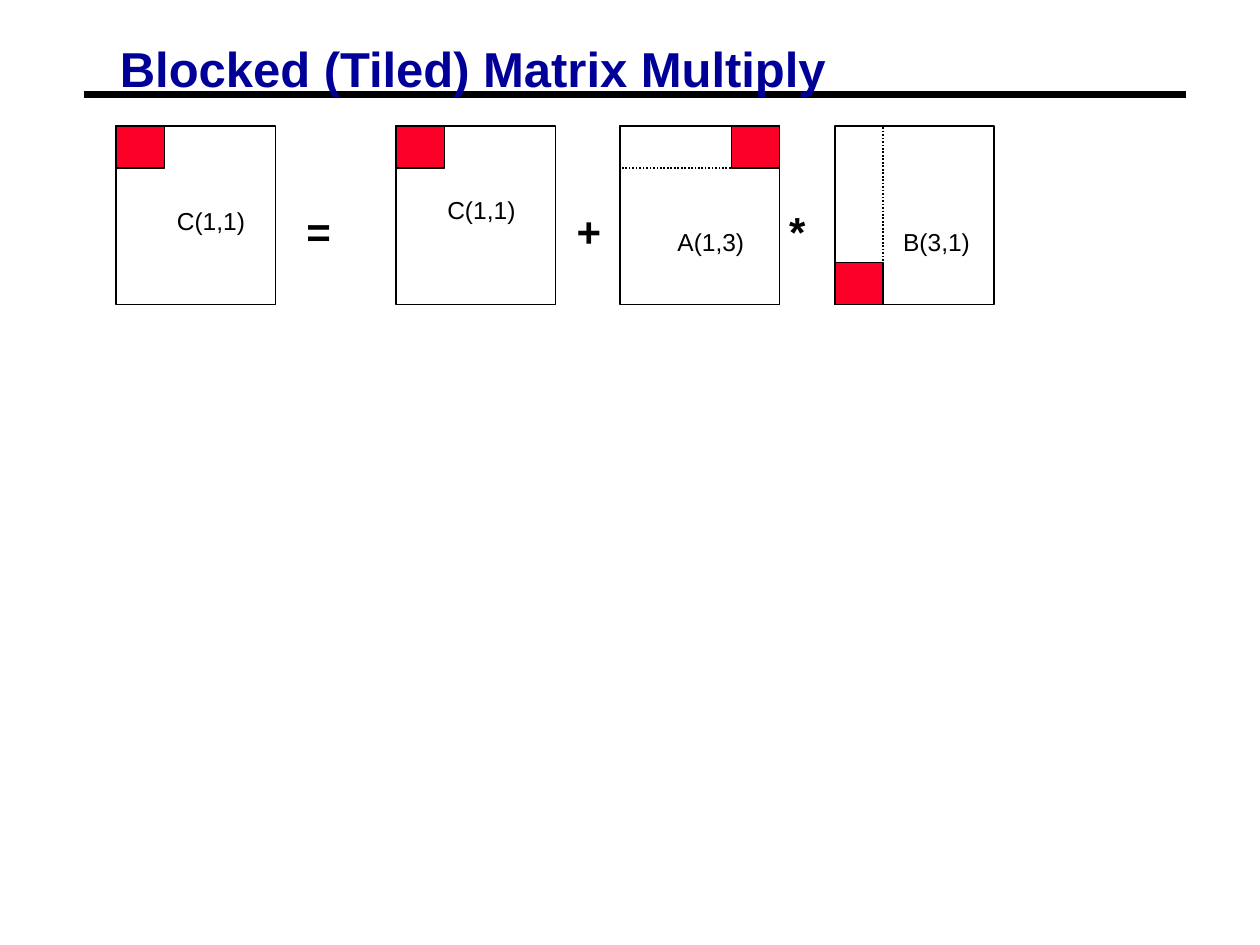
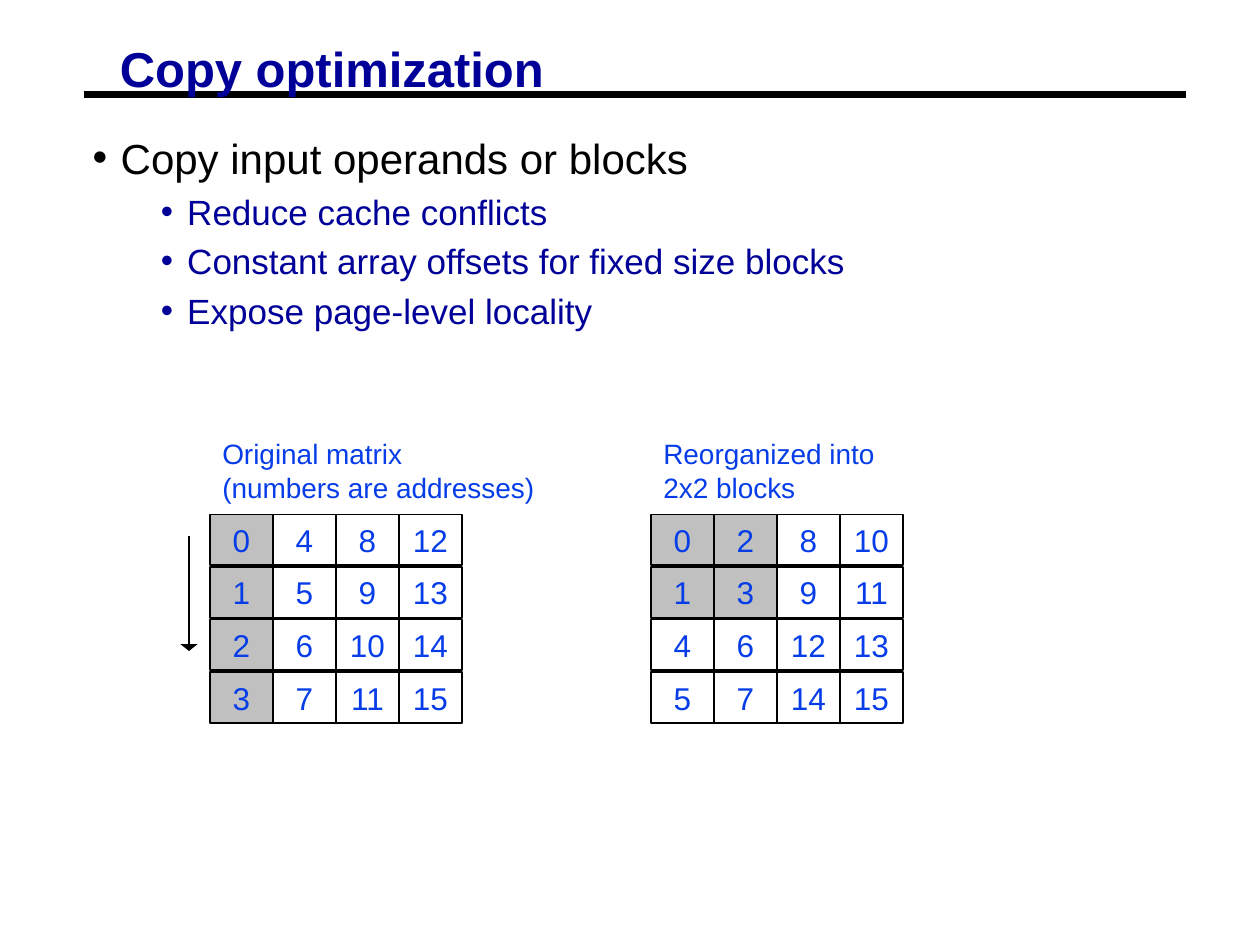
from lxml import etree
from pptx import Presentation
from pptx.dml.color import RGBColor
from pptx.enum.dml import MSO_LINE
from pptx.enum.shapes import MSO_CONNECTOR, MSO_SHAPE
from pptx.enum.text import MSO_ANCHOR, MSO_AUTO_SIZE, PP_ALIGN
from pptx.oxml.ns import qn
from pptx.util import Pt

RECT = MSO_SHAPE.RECTANGLE
STRAIGHT = MSO_CONNECTOR.STRAIGHT
DOTTED = MSO_LINE.ROUND_DOT
TOP, MIDDLE = MSO_ANCHOR.TOP, MSO_ANCHOR.MIDDLE
LEFT, CENTER = PP_ALIGN.LEFT, PP_ALIGN.CENTER

BLACK = RGBColor(0x00, 0x00, 0x00)
NAVY = RGBColor(0x00, 0x00, 0x99)
BLUE = RGBColor(0x06, 0x3D, 0xE8)
RED = RGBColor(0xFC, 0x01, 0x28)
GRAY = RGBColor(0xC0, 0xC0, 0xC0)
FONT = "Arial"

# Matrix product: sizes in points
MAT_TOP, MAT_W, MAT_H = 72, 91, 102
BLOCK_W, BLOCK_H = 27.5, 24
# left, block column and row (0 = first, 1 = last), strip size, label, label place
MATS = [
    (66.5, 0, 0, None, "C(1,1)", (94, 114)),
    (226.5, 0, 0, None, "C(1,1)", (248.5, 108)),
    (354.5, 1, 0, (MAT_W, BLOCK_H), "A(1,3)", (380, 126)),
    (477, 0, 1, (BLOCK_W, 99), "B(3,1)", (509, 126)),
]
SIGNS = [("=", 168, 42), ("+", 322.5, 22), ("*", 445, 13)]

# Text and address grids of the copy slide
POINTS = [
    (0, "Copy input operands or blocks"),
    (1, "Reduce cache conflicts"),
    (1, "Constant array offsets for fixed size blocks"),
    (1, "Expose page-level locality"),
]
# size, colour, left margin, hanging indent
LEVELS = [(24, BLACK, 16, 16), (20, NAVY, 54, 15)]
GRIDS = [
    (120, ["Original matrix", "(numbers are addresses)"],
     [[0, 4, 8, 12], [1, 5, 9, 13], [2, 6, 10, 14], [3, 7, 11, 15]]),
    (372, ["Reorganized into", "2x2 blocks"],
     [[0, 2, 8, 10], [1, 3, 9, 11], [4, 6, 12, 13], [5, 7, 14, 15]]),
]
SHADED = range(4)
GRID_TOP, CELL_W, CELL_H, ROW_STEP = 294, 36, 29, 30


def place(shape, x, y, w, h):
    shape.left, shape.top, shape.width, shape.height = map(Pt, (x, y, w, h))


def style(para, size, color, bold=False, align=LEFT):
    para.alignment = align
    font = para.font
    font.name, font.size, font.bold = FONT, Pt(size), bold
    font.color.rgb = color


def inset(frame, side, top):
    frame.margin_left = frame.margin_right = Pt(side)
    frame.margin_top = frame.margin_bottom = Pt(top)


def add_text(slide, box, lines, size, color, bold=False):
    frame = slide.shapes.add_textbox(*map(Pt, box)).text_frame
    frame.word_wrap = True
    frame.text = "\n".join(lines)
    for para in frame.paragraphs:
        style(para, size, color, bold)


def add_rect(slide, x, y, w, h, fill=None):
    rect = slide.shapes.add_shape(RECT, *map(Pt, (x, y, w, h)))
    rect.shadow.inherit = False
    if fill is None:
        rect.fill.background()
    else:
        rect.fill.solid()
        rect.fill.fore_color.rgb = fill
    rect.line.color.rgb = BLACK
    rect.line.width = Pt(1)
    return rect


def add_line(slide, x1, y1, x2, y2, width):
    line = slide.shapes.add_connector(STRAIGHT, *map(Pt, (x1, y1, x2, y2)))
    line.line.color.rgb = BLACK
    line.line.width = Pt(width)
    etree.SubElement(line._element.spPr, qn("a:effectLst"))
    return line


def add_slide(deck, text, width):
    """Add a slide with its title set over the black rule."""
    slide = deck.slides.add_slide(deck.slide_layouts[5])
    title = slide.shapes.title
    place(title, 63.5, 24, width, 33)
    frame = title.text_frame
    frame.text = text
    frame.word_wrap = True
    frame.auto_size = MSO_AUTO_SIZE.NONE
    frame.vertical_anchor = TOP
    inset(frame, 5, 2.5)
    para = frame.paragraphs[0]
    para.line_spacing = 0.87
    style(para, 28, NAVY, bold=True)
    rule = add_line(slide, 48, 54, 678, 54, 3.75)
    title._element.addprevious(rule._element)
    return slide


def add_points(slide):
    frame = slide.shapes.add_textbox(Pt(48), Pt(72), Pt(630), Pt(116)).text_frame
    frame.word_wrap = True
    inset(frame, 5, 3.5)
    frame.text = "\n".join(text for _, text in POINTS)
    for para, (level, _) in zip(frame.paragraphs, POINTS):
        size, color, margin, hang = LEVELS[level]
        para.level = level
        if level:
            para.space_before = Pt(4.4)
        props = para._p.get_or_add_pPr()
        props.set("marL", str(Pt(margin)))
        props.set("indent", str(-Pt(hang)))
        etree.SubElement(props, qn("a:buFont"), typeface=FONT)
        etree.SubElement(props, qn("a:buChar"), char="•")
        style(para, size, color)


def add_grid(slide, left, caption, rows):
    for r, row in enumerate(rows):
        for c, num in enumerate(row):
            cell = add_rect(slide, left + c * CELL_W, GRID_TOP + r * ROW_STEP,
                            CELL_W, CELL_H, GRAY if num in SHADED else None)
            frame = cell.text_frame
            frame.text = str(num)
            frame.vertical_anchor = MIDDLE
            inset(frame, 7.2, 3.6)
            style(frame.paragraphs[0], 18, BLUE, align=CENTER)
    add_text(slide, (left, 246, 200, 46), caption, 16, BLUE)


def build_product(deck):
    slide = add_slide(deck, "Blocked (Tiled) Matrix Multiply", 415)
    for left, col, row, strip, label, (x, y) in MATS:
        add_rect(slide, left, MAT_TOP, MAT_W, MAT_H)
        if strip:
            add_rect(slide, left, MAT_TOP, *strip).line.dash_style = DOTTED
        add_rect(slide, left + col * (MAT_W - BLOCK_W),
                 MAT_TOP + row * (MAT_H - BLOCK_H), BLOCK_W, BLOCK_H, RED)
        add_text(slide, (x, y, 53.5, 24.5), [label], 14, BLACK)
    for sign, x, width in SIGNS:
        add_text(slide, (x, 114, width, 36), [sign], 24, BLACK, bold=True)


def build_copy(deck):
    slide = add_slide(deck, "Copy optimization", 253)
    add_points(slide)
    for grid in GRIDS:
        add_grid(slide, *grid)
    arrow = add_line(slide, 108, 306, 108, 372, 1)
    etree.SubElement(arrow.line._get_or_add_ln(), qn("a:tailEnd"),
                     type="triangle", w="lg", len="sm")


def main():
    deck = Presentation()
    deck.slide_width, deck.slide_height = Pt(720), Pt(540)
    build_product(deck)
    build_copy(deck)
    deck.save("out.pptx")


if __name__ == "__main__":
    main()
